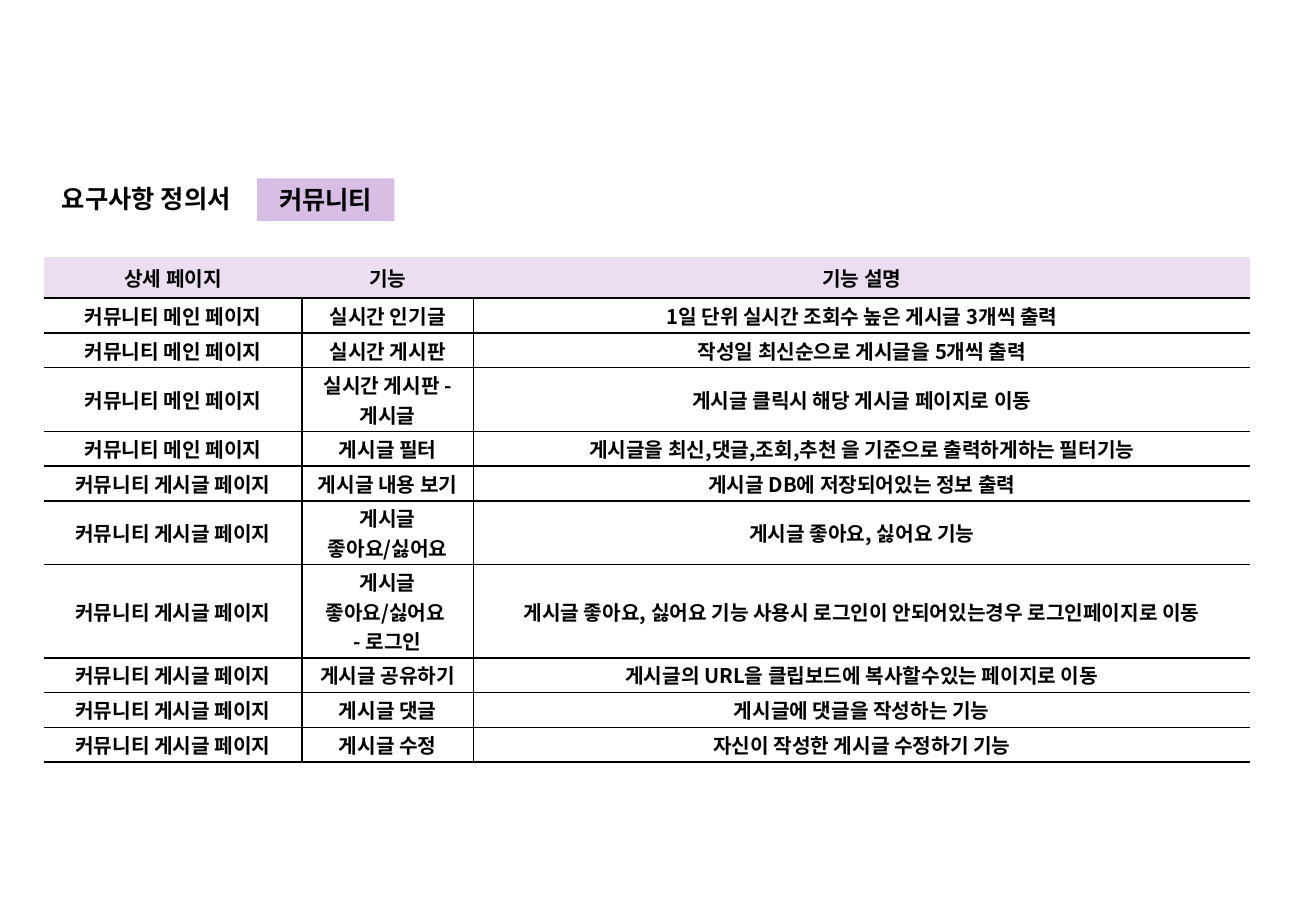
"""Build the community requirements slide with its feature table."""
from typing import NamedTuple

from lxml import etree
from pptx import Presentation
from pptx import util as u
from pptx.dml.color import RGBColor
from pptx.enum import shapes, text
from pptx.oxml.ns import qn

FONT = "Noto Sans CJK KR"
BLACK = RGBColor(0x00, 0x00, 0x00)
HEADER_FILL = RGBColor(0xEB, 0xDE, 0xF1)
TAG_FILL = RGBColor(0xD8, 0xBE, 0xE4)
MAIN = "커뮤니티 메인 페이지"
POST = "커뮤니티 게시글 페이지"
COLUMN_WIDTHS = (152.8, 101.6, 460.6)
HEADER_HEIGHT = 20.2
ROW_HEIGHT = 20.6


class Feature(NamedTuple):
    page: str
    name: str
    description: str


HEADER = Feature("상세 페이지", "기능", "기능 설명")
FEATURES = (
    Feature(MAIN, "실시간 인기글", "1일 단위 실시간 조회수 높은 게시글 3개씩 출력"),
    Feature(MAIN, "실시간 게시판", "작성일 최신순으로 게시글을 5개씩 출력"),
    Feature(MAIN, "실시간 게시판 - 게시글", "게시글 클릭시 해당 게시글 페이지로 이동"),
    Feature(MAIN, "게시글 필터", "게시글을 최신,댓글,조회,추천 을 기준으로 출력하게하는 필터기능"),
    Feature(POST, "게시글 내용 보기", "게시글 DB에 저장되어있는 정보 출력"),
    Feature(POST, "게시글 좋아요/싫어요", "게시글 좋아요, 싫어요 기능"),
    Feature(POST, "게시글 좋아요/싫어요 \v- 로그인",
            "게시글 좋아요, 싫어요 기능 사용시 로그인이 안되어있는경우 로그인페이지로 이동"),
    Feature(POST, "게시글 공유하기", "게시글의 URL을 클립보드에 복사할수있는 페이지로 이동"),
    Feature(POST, "게시글 댓글", "게시글에 댓글을 작성하는 기능"),
    Feature(POST, "게시글 수정", "자신이 작성한 게시글 수정하기 기능"),
)


def write(tf, content: str, size: float, align) -> None:
    tf.text = content
    for p in tf.paragraphs:
        p.alignment = align
        p.font.size = u.Pt(size)
        p.font.bold = True
        p.font.color.rgb = BLACK
        p.font.name = FONT
        props = p._p.pPr.find(qn("a:defRPr"))
        etree.SubElement(props, qn("a:ea"), typeface=FONT)


def set_border(cell, side: str, width: float) -> None:
    ln = etree.SubElement(cell._tc.get_or_add_tcPr(), qn(f"a:ln{side}"), w=str(u.Pt(width)))
    if width:
        fill = etree.SubElement(ln, qn("a:solidFill"))
        etree.SubElement(fill, qn("a:srgbClr"), val=str(BLACK))
    else:
        etree.SubElement(ln, qn("a:noFill"))


def format_cell(cell, content: str, row: int, col: int) -> None:
    is_header = row == 0
    last_col = len(COLUMN_WIDTHS) - 1
    borders = {
        "L": 0 if is_header or col == 0 else 1,
        "R": 0 if is_header or col == last_col else 1,
        "T": 0 if is_header else 1.5 if row == 1 else 1,
        "B": 1.5 if is_header else 1,
    }
    for side, width in borders.items():
        set_border(cell, side, width)
    if is_header:
        cell.fill.solid()
        cell.fill.fore_color.rgb = HEADER_FILL
    else:
        cell.fill.background()
        cell.margin_left = cell.margin_right = u.Pt(2.2)
        cell.margin_top = cell.margin_bottom = u.Pt(1.5)
    cell.vertical_anchor = text.MSO_ANCHOR.MIDDLE
    write(cell.text_frame, content, 12, text.PP_ALIGN.CENTER)


def add_feature_table(s) -> None:
    rows = (HEADER, *FEATURES)
    table = s.shapes.add_table(
        len(rows), len(COLUMN_WIDTHS), u.Pt(26.2), u.Pt(152.2),
        u.Pt(sum(COLUMN_WIDTHS)), u.Pt(HEADER_HEIGHT + ROW_HEIGHT * len(FEATURES))).table
    table.horz_banding = False
    for column, width in zip(table.columns, COLUMN_WIDTHS):
        column.width = u.Pt(width)
    for row, feature in enumerate(rows):
        table.rows[row].height = u.Pt(ROW_HEIGHT if row else HEADER_HEIGHT)
        for col, content in enumerate(feature):
            format_cell(table.cell(row, col), content, row, col)


def add_title(s) -> None:
    sp = s.shapes.title
    sp.left, sp.top, sp.width, sp.height = map(u.Pt, (29.5, 105.1, 169.9, 24.5))
    tf = sp.text_frame
    tf.word_wrap = True
    tf.auto_size = text.MSO_AUTO_SIZE.NONE
    tf.vertical_anchor = text.MSO_ANCHOR.MIDDLE
    write(tf, "요구사항 정의서", 15, text.PP_ALIGN.LEFT)


def add_tag(s) -> None:
    sp = s.shapes.add_shape(shapes.MSO_SHAPE.RECTANGLE,
                            *map(u.Pt, (152.4, 105.8, 81.4, 25.2)))
    sp.shadow.inherit = False
    sp.fill.solid()
    sp.fill.fore_color.rgb = TAG_FILL
    sp.line.fill.background()
    sp.text_frame.vertical_anchor = text.MSO_ANCHOR.MIDDLE
    write(sp.text_frame, "커뮤니티", 15, text.PP_ALIGN.CENTER)


def main() -> None:
    prs = Presentation()
    prs.slide_width, prs.slide_height = u.Pt(780), u.Pt(540)
    s = prs.slides.add_slide(prs.slide_layouts[5])
    add_feature_table(s)
    add_title(s)
    add_tag(s)
    prs.save("out.pptx")


if __name__ == "__main__":
    main()
